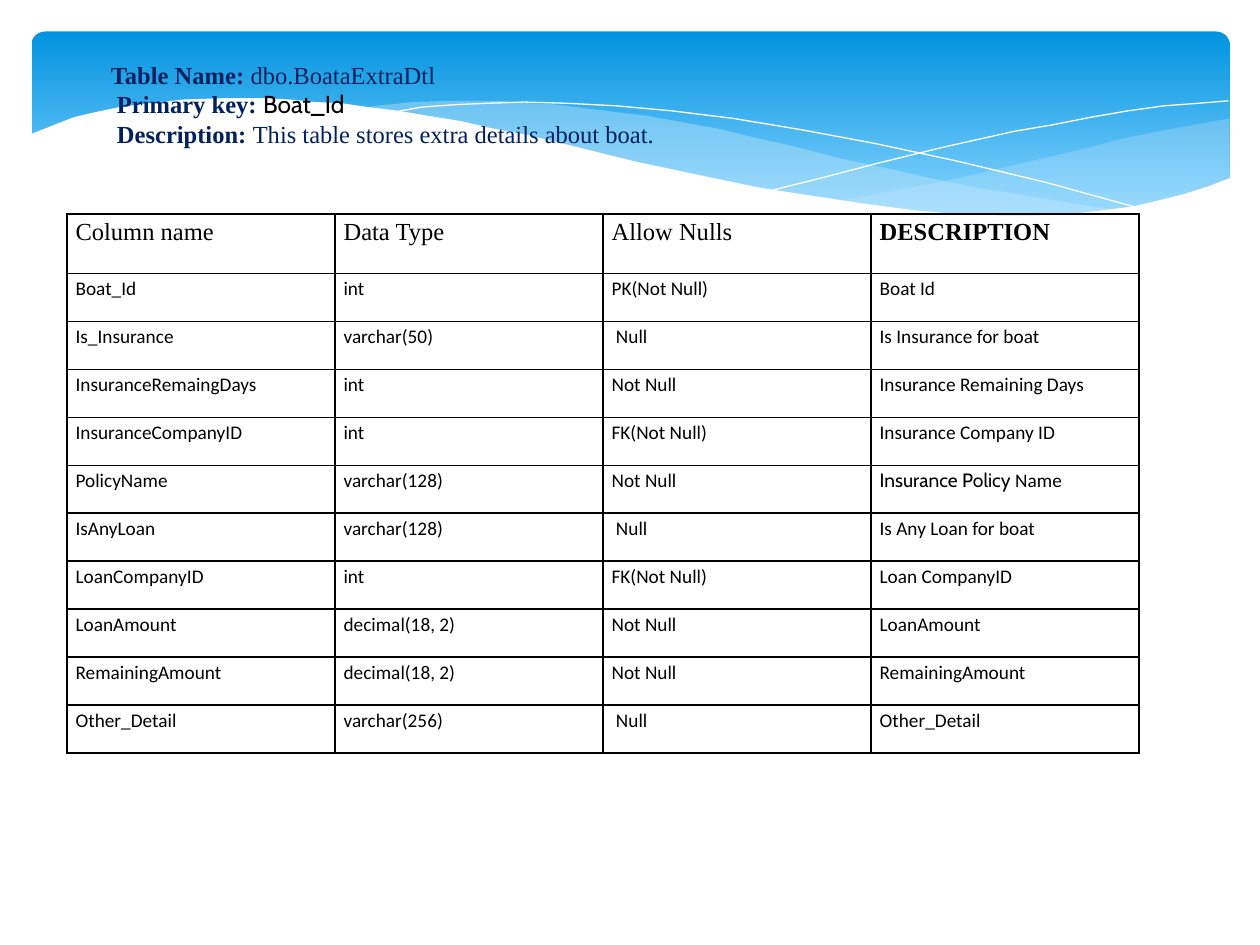
import pptx
import pptx.util
import pptx.dml.color
import pptx.enum.shapes
import pptx.enum.text
import pptx.oxml
import pptx.oxml.ns
from pptx.util import Inches

RGBColor = pptx.dml.color.RGBColor
BLACK = RGBColor(0x00, 0x00, 0x00)
WHITE = RGBColor(0xFF, 0xFF, 0xFF)
NAVY = RGBColor(0x00, 0x20, 0x60)
SKY_DARK = RGBColor(0x02, 0x93, 0xE0)
SKY_LIGHT = RGBColor(0x83, 0xD3, 0xFE)
MIST = RGBColor(0xC6, 0xE7, 0xFC)
SERIF = "Times New Roman"
SANS = "Calibri"
ACCENT = "Cabin"

HEADING = [
    ("Table Name: ", "dbo.BoataExtraDtl", SERIF, NAVY),
    (" Primary key: ", "Boat_Id", ACCENT, BLACK),
    (" Description: ", "This table stores extra details about boat.", SERIF, NAVY),
]
COLUMNS = ["Column name", "Data Type", "Allow Nulls", "DESCRIPTION"]
FIELDS = [
    ("Boat_Id", "int", "PK(Not Null)", "Boat Id"),
    ("Is_Insurance", "varchar(50)", " Null", "Is Insurance for boat"),
    ("InsuranceRemaingDays", "int", "Not Null", "Insurance Remaining Days"),
    ("InsuranceCompanyID", "int", "FK(Not Null)", "Insurance Company ID"),
    ("PolicyName", "varchar(128)", "Not Null", [("Insurance Policy ", ACCENT), ("Name", SANS)]),
    ("IsAnyLoan", "varchar(128)", " Null", "Is Any Loan for boat"),
    ("LoanCompanyID", "int", "FK(Not Null)", "Loan CompanyID"),
    ("LoanAmount", "decimal(18, 2)", "Not Null", "LoanAmount"),
    ("RemainingAmount", "decimal(18, 2)", "Not Null", "RemainingAmount"),
    ("Other_Detail", "varchar(256)", " Null", "Other_Detail"),
]

RIGHT_WAVE = [
    (9.76, 0.94), (9.48, 0.99), (9.21, 1.04), (8.91, 1.1), (8.61, 1.18), (8.05, 1.31),
    (7.53, 1.43), (7.06, 1.52), (6.61, 1.6), (6.91, 1.64), (7.19, 1.67), (7.45, 1.69),
    (7.69, 1.71), (8.03, 1.72), (8.35, 1.72), (8.63, 1.7), (8.89, 1.66), (9.13, 1.62),
    (9.35, 1.56), (9.49, 1.52), (9.63, 1.47), (9.76, 1.41),
]
MIDDLE_WAVE = [
    (8.93, 1.67), (8.66, 1.64), (8.37, 1.59), (8.07, 1.54), (7.75, 1.49), (7.41, 1.42),
    (7.06, 1.34), (6.68, 1.26), (6.29, 1.16), (5.98, 1.09), (5.69, 1.02), (5.41, 0.97),
    (5.14, 0.92), (4.89, 0.89), (4.65, 0.86), (4.42, 0.83), (4.2, 0.82), (3.99, 0.8),
    (3.61, 0.8), (3.28, 0.81), (2.99, 0.84), (2.86, 0.86), (3.23, 0.9), (3.62, 0.97),
    (4.04, 1.06), (4.49, 1.16), (4.91, 1.26), (5.3, 1.35), (5.66, 1.43), (6.01, 1.5),
    (6.34, 1.56), (6.65, 1.61), (6.95, 1.65), (7.22, 1.68), (7.48, 1.7), (7.73, 1.72),
    (8.07, 1.73), (8.38, 1.72), (8.67, 1.7),
]
FALLING_LINE = [
    (3.09, 0.9), (3.18, 0.88), (3.35, 0.85), (3.63, 0.83), (3.87, 0.82), (4.16, 0.81),
    (4.5, 0.82), (4.89, 0.84), (5.33, 0.88), (5.82, 0.94), (6.36, 1.03), (6.95, 1.14),
    (7.6, 1.28), (8.31, 1.45), (9.07, 1.66),
]
RISING_LINE = [
    (6.13, 1.51), (6.53, 1.41), (6.95, 1.3), (7.48, 1.17), (8.06, 1.04), (8.36, 0.99),
    (8.66, 0.93), (8.95, 0.88), (9.24, 0.84), (9.51, 0.82), (9.75, 0.8),
]
WHITE_WAVE = [
    (9.77, 1.41), (9.59, 1.48), (9.4, 1.54), (9.2, 1.59), (8.99, 1.64), (8.75, 1.67),
    (8.5, 1.7), (8.23, 1.71), (7.93, 1.71), (7.61, 1.7), (7.26, 1.67), (6.88, 1.62),
    (6.48, 1.56), (6.03, 1.49), (5.55, 1.39), (5.03, 1.28), (4.47, 1.14), (4.18, 1.07),
    (3.91, 1.02), (3.65, 0.96), (3.4, 0.92), (3.16, 0.88), (2.92, 0.85), (2.71, 0.82),
    (2.5, 0.81), (2.3, 0.79), (2.11, 0.78), (1.77, 0.78), (1.46, 0.79), (1.19, 0.82),
    (0.95, 0.85), (0.76, 0.89), (0.59, 0.93), (0.46, 0.98), (0.36, 1.02), (0.23, 1.07),
    (0.23, 2.24), (9.77, 2.24),
]
WAVES = [
    (RIGHT_WAVE, MIST, 29),
    (MIDDLE_WAVE, MIST, 40),
    (FALLING_LINE, None, 100),
    (RISING_LINE, None, 100),
    (WHITE_WAVE, WHITE, 100),
]


def add_span(para, text, size, font, color, bold=False):
    span = para.add_run()
    span.text = text
    span.font.size = pptx.util.Pt(size)
    span.font.name = font
    span.font.bold = bold
    span.font.color.rgb = color


def add_banner(page):
    banner = page.shapes.add_shape(
        pptx.enum.shapes.MSO_SHAPE.ROUNDED_RECTANGLE,
        Inches(0.25), Inches(0.25), Inches(9.51), Inches(1.56))
    banner.adjustments[0] = 0.07
    banner.shadow.inherit = False
    banner.line.fill.background()
    banner.fill.gradient()
    banner.fill.gradient_angle = 270
    stops = [(0, SKY_DARK), (0.9, SKY_LIGHT)]
    for stop, (position, color) in zip(banner.fill.gradient_stops, stops):
        stop.position = position
        stop.color.rgb = color


def add_wave(page, points, color, opacity):
    corners = [(Inches(x), Inches(y)) for x, y in points]
    builder = page.shapes.build_freeform(*corners[0])
    builder.add_line_segments(corners[1:], close=color is not None)
    wave = builder.convert_to_shape()
    wave.shadow.inherit = False
    if color is None:
        wave.fill.background()
        wave.line.color.rgb = WHITE
        wave.line.width = pptx.util.Pt(0)
        return
    wave.line.fill.background()
    wave.fill.solid()
    wave.fill.fore_color.rgb = color
    if opacity < 100:
        tone = wave.fill._xPr.find(".//" + pptx.oxml.ns.qn("a:srgbClr"))
        alpha = pptx.oxml.parse_xml(
            f'<a:alpha {pptx.oxml.ns.nsdecls("a")} val="{opacity * 1000}"/>')
        tone.append(alpha)


def add_borders(cell):
    properties = cell._tc.get_or_add_tcPr()
    for index, side in enumerate("LRTB"):
        properties.insert(index, pptx.oxml.parse_xml(
            f'<a:ln{side} {pptx.oxml.ns.nsdecls("a")} w="12700"><a:solidFill>'
            f'<a:srgbClr val="{BLACK}"/></a:solidFill></a:ln{side}>'))


def add_field_table(page):
    rows = [COLUMNS] + FIELDS
    frame = page.shapes.add_table(
        len(rows), len(COLUMNS), Inches(0.53), Inches(1.7), Inches(8.51), Inches(4.28))
    table = frame.table
    table.first_row = False
    table.horz_banding = False
    for column in table.columns:
        column.width = Inches(8.51 / len(COLUMNS))
    for row_index, values in enumerate(rows):
        header = row_index == 0
        table.rows[row_index].height = Inches(0.47 if header else 0.381)
        size, font = (14, SERIF) if header else (11, SANS)
        for cell, value in zip(table.rows[row_index].cells, values):
            cell.margin_left = cell.margin_right = Inches(0.07)
            cell.margin_top = cell.margin_bottom = 0
            cell.fill.background()
            add_borders(cell)
            para = cell.text_frame.paragraphs[0]
            para.line_spacing = 1.15
            parts = [(value, font)] if isinstance(value, str) else value
            for text, part_font in parts:
                add_span(para, text, size, part_font, BLACK, value == COLUMNS[-1])


def add_heading(page):
    box = page.shapes.title
    box.left, box.top, box.width, box.height = map(Inches, (0.53, 0.42, 8.25, 0.81))
    frame = box.text_frame
    frame.word_wrap = True
    frame.auto_size = pptx.enum.text.MSO_AUTO_SIZE.SHAPE_TO_FIT_TEXT
    frame.vertical_anchor = pptx.enum.text.MSO_ANCHOR.MIDDLE
    for index, (label, value, font, color) in enumerate(HEADING):
        para = frame.add_paragraph() if index else frame.paragraphs[0]
        para.alignment = pptx.enum.text.PP_ALIGN.LEFT
        para._p.get_or_add_pPr().set("indent", str(Inches(0.25)))
        add_span(para, label, 14, SERIF, NAVY, True)
        add_span(para, value, 14, font, color)
    page.shapes._spTree.append(box._element)


def main():
    deck = pptx.Presentation()
    deck.slide_width, deck.slide_height = Inches(10), Inches(7.5)
    page = deck.slides.add_slide(deck.slide_layouts[5])
    add_banner(page)
    for points, color, opacity in WAVES:
        add_wave(page, points, color, opacity)
    add_field_table(page)
    add_heading(page)
    deck.save("out.pptx")


if __name__ == "__main__":
    main()
